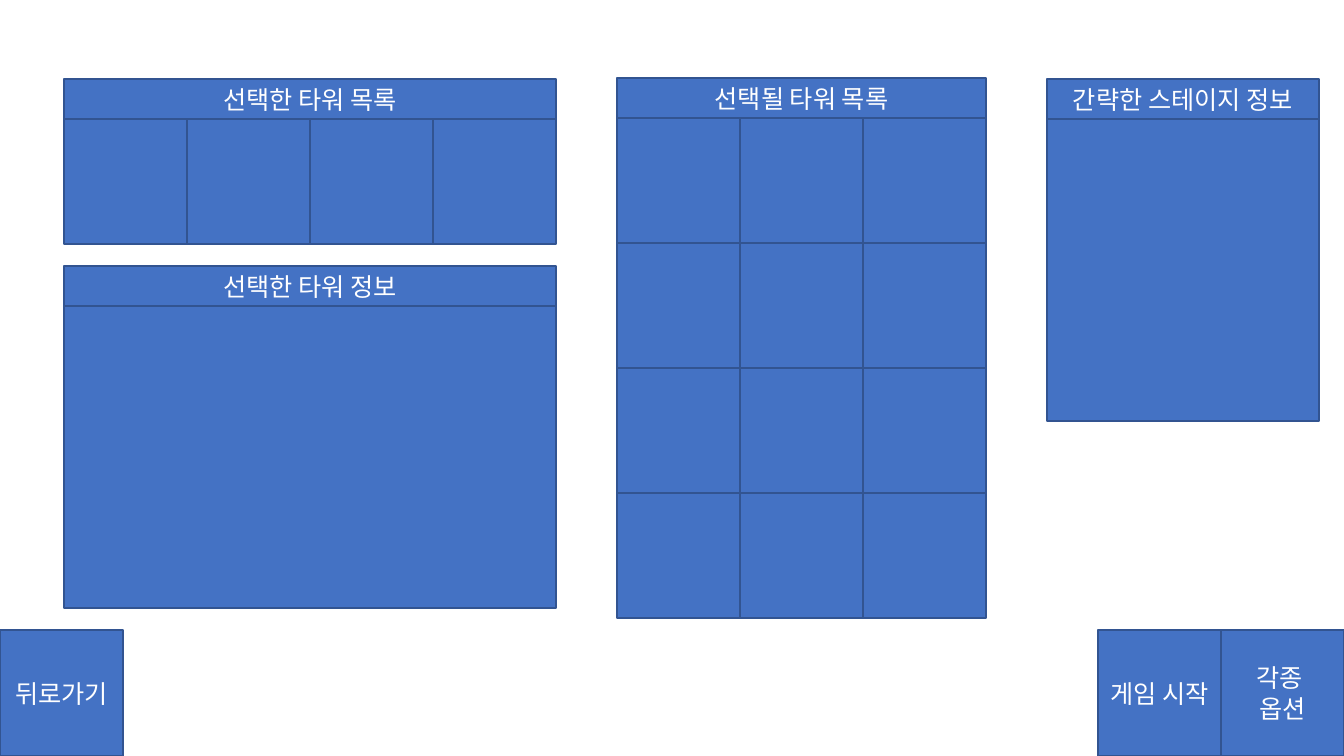
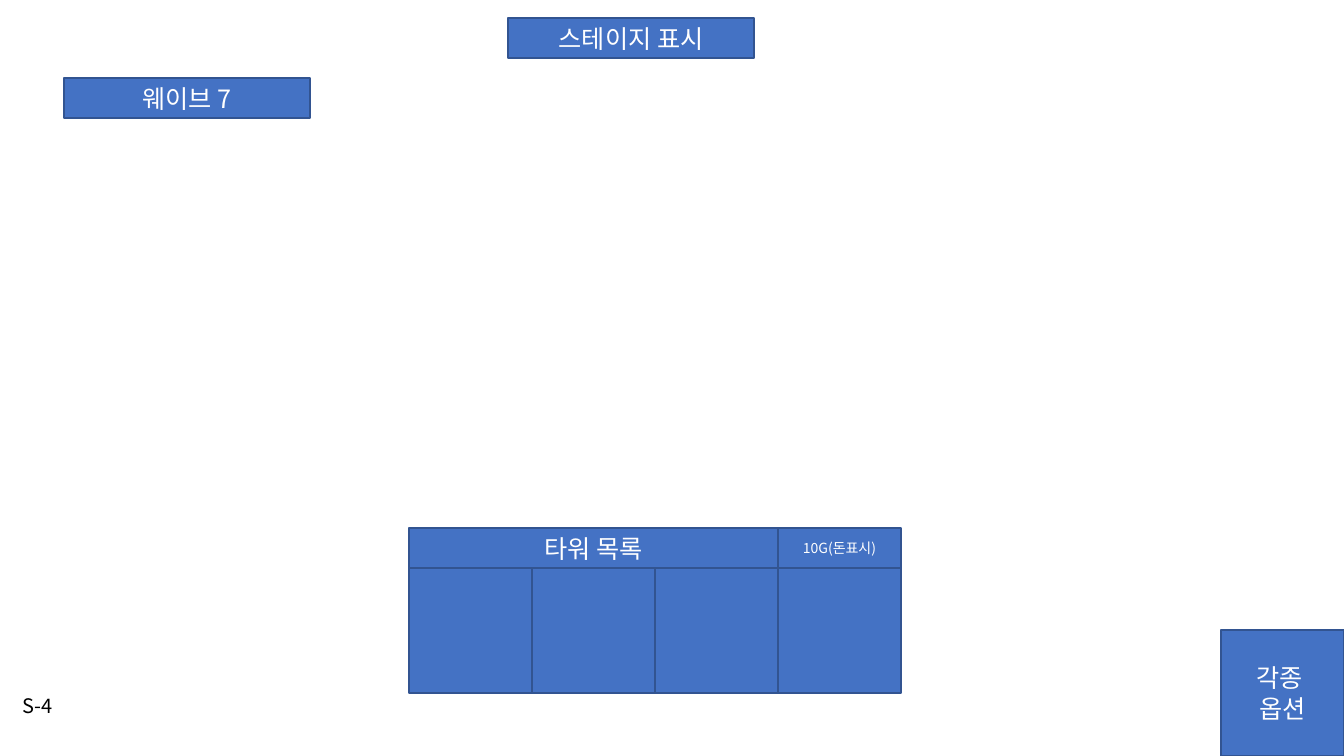
from dataclasses import dataclass

from lxml import etree
from pptx import Presentation
from pptx import util as u
from pptx.dml.color import RGBColor
from pptx.enum import shapes, text
from pptx.oxml.ns import qn


@dataclass(frozen=True)
class Theme:
    fill: str = "4472C4"
    line: str = "325491"
    light: str = "FFFFFF"
    dark: str = "000000"
    font: str = "Noto Sans CJK KR"
    size: float = 18
    note: float = 14.3
    small: float = 10


T = Theme()
PX = 914400 / 100.8
W, H = 1344, 756
CELL_W, CELL_H, BAR_H = 123, 125, 40
OPTIONS = ("각종 \n옵션", W - CELL_W)

# Content: panels are (title, left, top, width, columns, rows, body height)
SLIDES = [
    {
        "panels": [
            ("선택한 타워 목록", 64, 79, 4 * CELL_W, 4, 1, CELL_H),
            ("선택한 타워 정보", 64, 266, 4 * CELL_W, 1, 1, 302),
            ("선택될 타워 목록", 617, 78, 3 * CELL_W, 3, 4, 4 * CELL_H),
            ("간략한 스테이지 정보", 1047, 79, 272, 1, 1, 302),
        ],
        "buttons": [("뒤로가기", 0), ("게임 시작", W - 2 * CELL_W), OPTIONS],
        "bars": [],
        "notes": [],
    },
    {
        "panels": [("타워 목록", 409, 528, 4 * CELL_W, 4, 1, CELL_H)],
        "buttons": [OPTIONS],
        "bars": [
            ("스테이지 표시", 508, 18, 2 * CELL_W, T.size),
            ("웨이브 7", 64, 78, 2 * CELL_W, T.size),
            ("10G(돈표시)", 409 + 3 * CELL_W, 528, CELL_W, T.small),
        ],
        "notes": [("S-4", 12, 682, 52, 47)],
        "title_width": 3 * CELL_W,
    },
]


def px(*values):
    return [u.Emu(round(v * PX)) for v in values]


def write(sp, content, size=T.size, color=T.light):
    tf = sp.text_frame
    tf.word_wrap = True
    tf.vertical_anchor = text.MSO_ANCHOR.MIDDLE
    for i, words in enumerate(content.split("\n")):
        p = tf.add_paragraph() if i else tf.paragraphs[0]
        p.alignment = text.PP_ALIGN.CENTER
        r = p.add_run()
        r.text = words
        r.font.name = T.font
        r.font.size = u.Pt(size)
        r.font.color.rgb = RGBColor.from_string(color)
        etree.SubElement(r.font._element, qn("a:ea"), typeface=T.font)
    return tf


def box(s, x, y, w, h, content="", **fmt):
    sp = s.shapes.add_shape(shapes.MSO_SHAPE.RECTANGLE, *px(x, y, w, h))
    sp.shadow.inherit = False
    sp.fill.solid()
    sp.fill.fore_color.rgb = RGBColor.from_string(T.fill)
    sp.line.color.rgb = RGBColor.from_string(T.line)
    sp.line.width = u.Pt(1)
    if content:
        write(sp, content, **fmt)


def panel(s, title, x, y, w, cols, rows, body_h, title_w=None):
    cell_w, cell_h = w / cols, body_h / rows
    for row in range(rows):
        for col in range(cols):
            box(s, x + col * cell_w, y + BAR_H + row * cell_h, cell_w, cell_h)
    box(s, x, y, title_w or w, BAR_H, title)


def build(s, data):
    # Titled panels with their slots
    for spec in data["panels"]:
        panel(s, *spec, title_w=data.get("title_width"))
    # Label bars
    for label, x, y, w, size in data["bars"]:
        box(s, x, y, w, BAR_H, label, size=size)
    # Buttons along the bottom edge
    for label, x in data["buttons"]:
        box(s, x, H - CELL_H - 1, CELL_W, CELL_H + 1, label)
    # Plain notes
    for label, *place in data["notes"]:
        tf = write(s.shapes.add_textbox(*px(*place)), label, size=T.note, color=T.dark)
        tf.margin_left = tf.margin_right = 0


def main():
    prs = Presentation()
    prs.slide_width, prs.slide_height = px(W, H)
    for data in SLIDES:
        build(prs.slides.add_slide(prs.slide_layouts[6]), data)
    prs.save("out.pptx")


if __name__ == "__main__":
    main()
